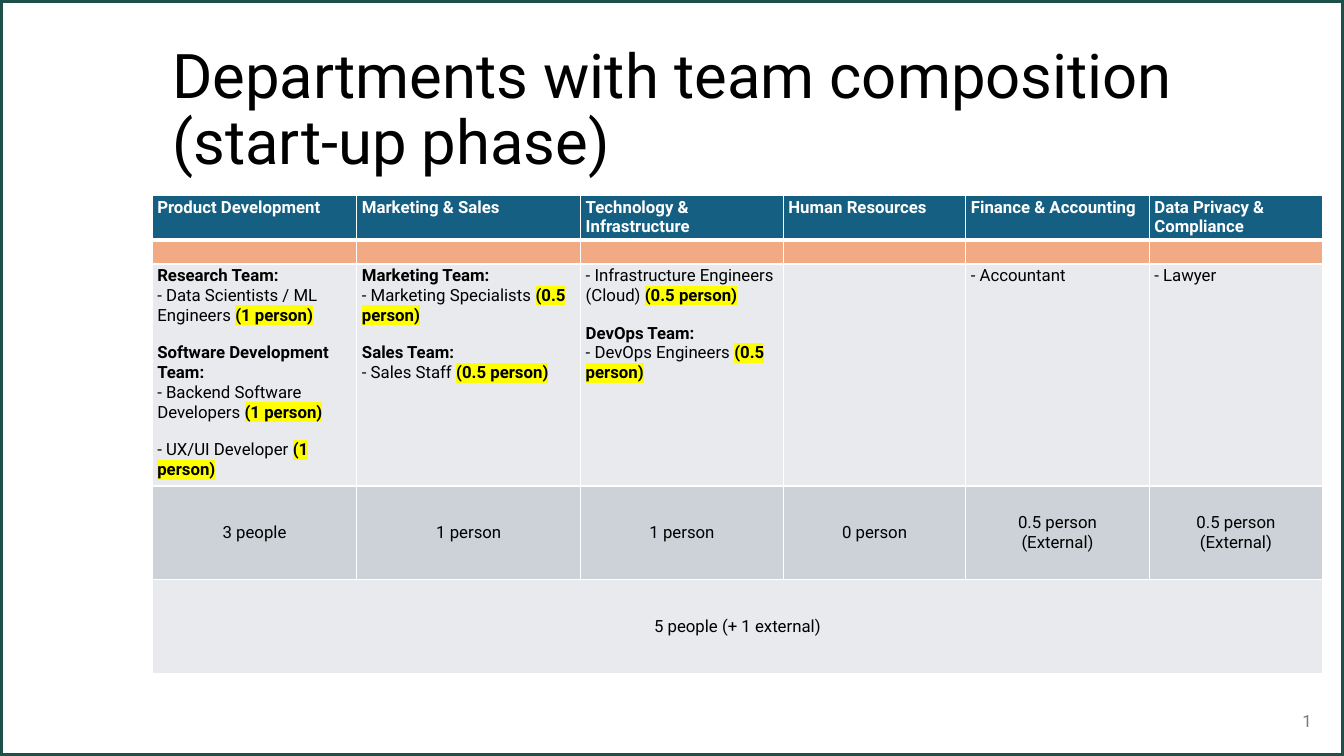
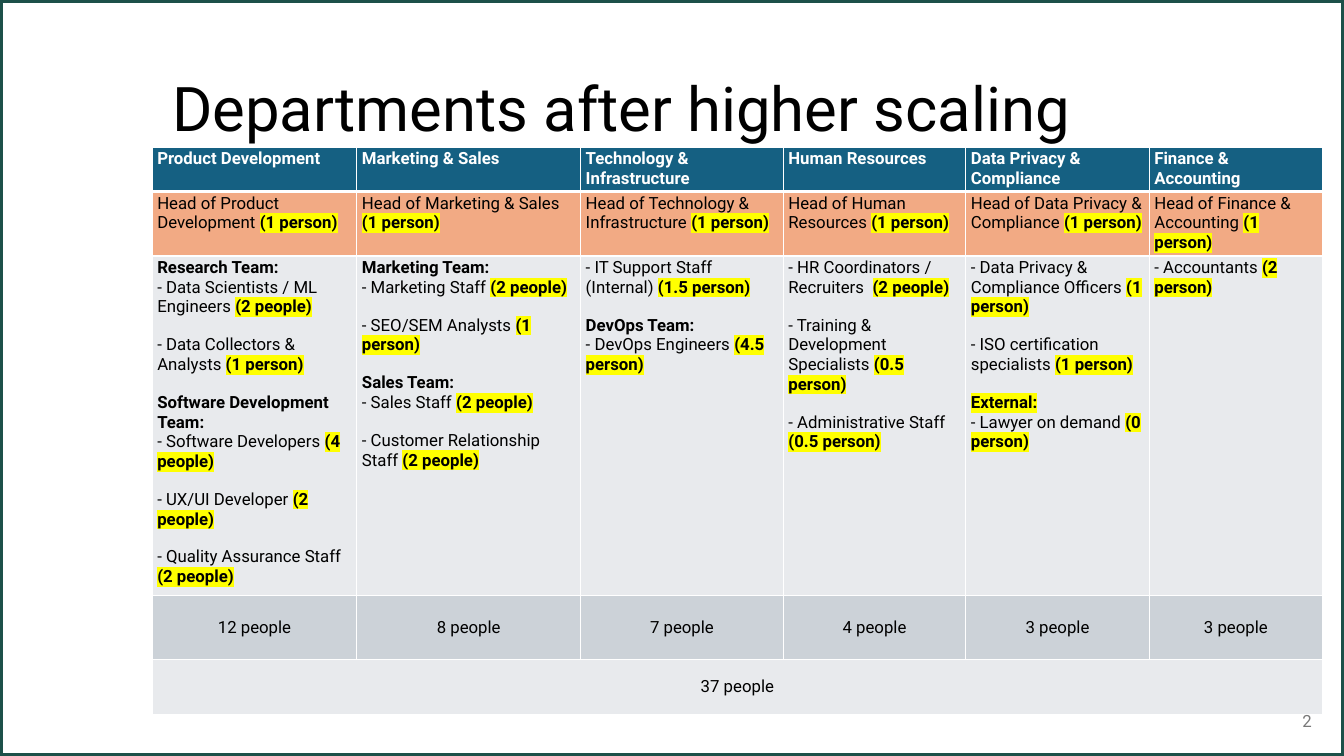
from lxml.etree import SubElement
from pptx import Presentation
from pptx.dml.color import RGBColor
from pptx.enum.shapes import MSO_SHAPE as Shape
from pptx.enum.text import MSO_ANCHOR as Anchor, PP_ALIGN as Align
from pptx.oxml import parse_xml
from pptx.oxml.ns import nsdecls, qn
from pptx.util import Inches, Pt

FONT = "Roboto"
SIZE = 12
GAP = 13  # points between groups in a cell, about one line of text
WIDTH, HEIGHT = 13.33, 7.5
TABLE_LEFT = 1.51
COLUMNS = [2.03, 2.22, 2.01, 1.81, 1.82, 1.72]
COLORS = {
    "frame": "1D5049", "black": "000000", "white": "FFFFFF", "number": "797979",
    "header": "156082", "head": "F2AA84", "light": "E8EAED", "mid": "CCD2D8",
    "mark": "FFFF00",
}
ROW_FILLS = ["header", "head", "light", "mid", "light"]
HEADER, HEADS, TEAMS, COUNTS, TOTAL = range(5)

# A cell is a list of groups, a group a list of lines.
# A line is plain text, or a pair of plain text and marked text.
SLIDES = [
    {
        "title": "Departments with team composition (start-up phase)",
        "top": 1.94,
        "rows": [0.43, 0.23, 2.19, 0.93, 0.93],
        "departments": ["Product Development", "Marketing & Sales",
                        "Technology & Infrastructure", "Human Resources",
                        "Finance & Accounting", "Data Privacy & Compliance"],
        "heads": False,
        "teams": [
            [["Research Team:", ("- Data Scientists / ML Engineers ", "(1 person)")],
             ["Software Development Team:",
              ("- Backend Software Developers ", "(1 person)")],
             [("- UX/UI Developer ", "(1 person)")]],
            [["Marketing Team:", ("- Marketing Specialists ", "(0.5 person)")],
             ["Sales Team:", ("- Sales Staff ", "(0.5 person)")]],
            [["- Infrastructure Engineers", ("(Cloud) ", "(0.5 person)")],
             ["DevOps Team:", ("- DevOps Engineers ", "(0.5 person)")]],
            [],
            [["- Accountant"]],
            [["- Lawyer"]],
        ],
        "counts": [["3 people"], ["1 person"], ["1 person"], ["0 person"],
                   ["0.5 person", "(External)"], ["0.5 person", "(External)"]],
        "total": "5 people (+ 1 external)",
    },
    {
        "title": "Departments after higher scaling",
        "top": 1.46,
        "rows": [0.43, 0.63, 3.37, 0.63, 0.55],
        "departments": ["Product Development", "Marketing & Sales",
                        "Technology & Infrastructure", "Human Resources",
                        "Data Privacy & Compliance", "Finance & Accounting"],
        "heads": True,
        "teams": [
            [["Research Team:", ("- Data Scientists / ML Engineers ", "(2 people)")],
             [("- Data Collectors & Analysts ", "(1 person)")],
             ["Software Development Team:", ("- Software Developers ", "(4 people)")],
             [("- UX/UI Developer ", "(2 people)")],
             [("- Quality Assurance Staff ", "(2 people)")]],
            [["Marketing Team:", ("- Marketing Staff ", "(2 people)")],
             [("- SEO/SEM Analysts ", "(1 person)")],
             ["Sales Team:", ("- Sales Staff ", "(2 people)")],
             [("- Customer Relationship Staff ", "(2 people)")]],
            [[("- IT Support Staff (Internal) ", "(1.5 person)")],
             ["DevOps Team:", ("- DevOps Engineers ", "(4.5 person)")]],
            [[("- HR Coordinators / Recruiters  ", "(2 people)")],
             [("- Training & Development Specialists ", "(0.5 person)")],
             [("- Administrative Staff ", "(0.5 person)")]],
            [[("- Data Privacy & Compliance Officers ", "(1 person)")],
             [("- ISO certification specialists ", "(1 person)")],
             [("", "External:"), ("- Lawyer on demand ", "(0 person)")]],
            [[("- Accountants ", "(2 person)")]],
        ],
        "counts": [["12 people"], ["8 people"], ["7 people"],
                   ["4 people"], ["3 people"], ["3 people"]],
        "total": "37 people",
    },
]


def rgb(name):
    return RGBColor.from_string(COLORS[name])


def add_run(p, text, size=SIZE, color="black", bold=False, marked=False):
    r = p.add_run()
    r.text = text
    r.font.size, r.font.bold, r.font.name = Pt(size), bold, FONT
    r.font.color.rgb = rgb(color)
    if marked:
        fill = r.font._element.find(qn("a:solidFill"))
        fill.addnext(parse_xml(f'<a:highlight {nsdecls("a")}>'
                               f'<a:srgbClr val="{COLORS["mark"]}"/></a:highlight>'))


def add_text(s, text, left, top, width, height, size, color, align=Align.LEFT):
    tf = s.shapes.add_textbox(*map(Inches, (left, top, width, height))).text_frame
    tf.word_wrap, tf.vertical_anchor = True, Anchor.MIDDLE
    p = tf.paragraphs[0]
    p.alignment = align
    add_run(p, text, size, color)
    return p


def add_frame(s):
    sp = s.shapes.add_shape(Shape.RECTANGLE, 0, 0, Inches(WIDTH), Inches(HEIGHT))
    sp.shadow.inherit = False
    sp.fill.background()
    sp.line.color.rgb, sp.line.width = rgb("frame"), Pt(4.5)


def add_title(s, title):
    add_text(s, title, 1.61, 0.38, 11.5, 1.45, 44, "black").line_spacing = 0.9


def add_number(s, number):
    add_text(s, str(number), 10.11, 6.95, 3, 0.4, SIZE, "number", Align.RIGHT)


def set_borders(cell, row):
    tcPr = cell._tc.get_or_add_tcPr()
    thick = {HEADER: "lnB", HEADS: "lnT"}.get(row)
    for i, side in enumerate(("lnL", "lnR", "lnT", "lnB")):
        width = Pt(3 if side == thick else 1)
        tcPr.insert(i, parse_xml(
            f'<a:{side} {nsdecls("a")} w="{width}"><a:solidFill>'
            f'<a:srgbClr val="{COLORS["white"]}"/></a:solidFill></a:{side}>'))


def fill_cell(cell, groups, row):
    cell.fill.solid()
    cell.fill.fore_color.rgb = rgb(ROW_FILLS[row])
    set_borders(cell, row)
    cell.margin_left = cell.margin_right = Inches(0.05)
    cell.margin_top = cell.margin_bottom = Inches(0.02)
    centred = row >= COUNTS
    cell.vertical_anchor = Anchor.MIDDLE if centred else Anchor.TOP
    tf = cell.text_frame
    p = tf.paragraphs[0]
    if not groups:  # keeps an empty cell as low as one line of text
        SubElement(p._p, qn("a:endParaRPr"), sz=str(SIZE * 100))
    lines = [(line, g > 0 and i == 0)
             for g, group in enumerate(groups) for i, line in enumerate(group)]
    for n, (line, gap) in enumerate(lines):
        p = tf.add_paragraph() if n else p
        p.alignment = Align.CENTER if centred else Align.LEFT
        if gap:
            p.space_before = Pt(GAP)
        plain, marked = (line, "") if isinstance(line, str) else line
        if plain:
            add_run(p, plain, color="white" if row == HEADER else "black",
                    bold=row == HEADER or plain.endswith(":"))
        if marked:
            add_run(p, marked, bold=True, marked=True)


def add_departments(s, data):
    names = data["departments"]
    grid = [
        [[[name]] for name in names],
        [[[(f"Head of {name} ", "(1 person)")]] if data["heads"] else []
         for name in names],
        data["teams"],
        [[count] for count in data["counts"]],
        [[[data["total"]]]] + [[]] * (len(names) - 1),
    ]
    table = s.shapes.add_table(
        len(grid), len(COLUMNS), Inches(TABLE_LEFT), Inches(data["top"]),
        Inches(sum(COLUMNS)), Inches(sum(data["rows"]))).table
    table.first_row = table.horz_banding = False
    for column, width in zip(table.columns, COLUMNS):
        column.width = Inches(width)
    for r, (height, cells) in enumerate(zip(data["rows"], grid)):
        table.rows[r].height = Inches(height)
        for c, groups in enumerate(cells):
            fill_cell(table.cell(r, c), groups, r)
    table.cell(TOTAL, 0).merge(table.cell(TOTAL, len(COLUMNS) - 1))


def main():
    prs = Presentation()
    prs.slide_width, prs.slide_height = Inches(WIDTH), Inches(HEIGHT)
    for number, data in enumerate(SLIDES, 1):
        s = prs.slides.add_slide(prs.slide_layouts[6])
        add_frame(s)
        add_title(s, data["title"])
        add_departments(s, data)
        add_number(s, number)  # stays in front of the table
    prs.save("out.pptx")


if __name__ == "__main__":
    main()
